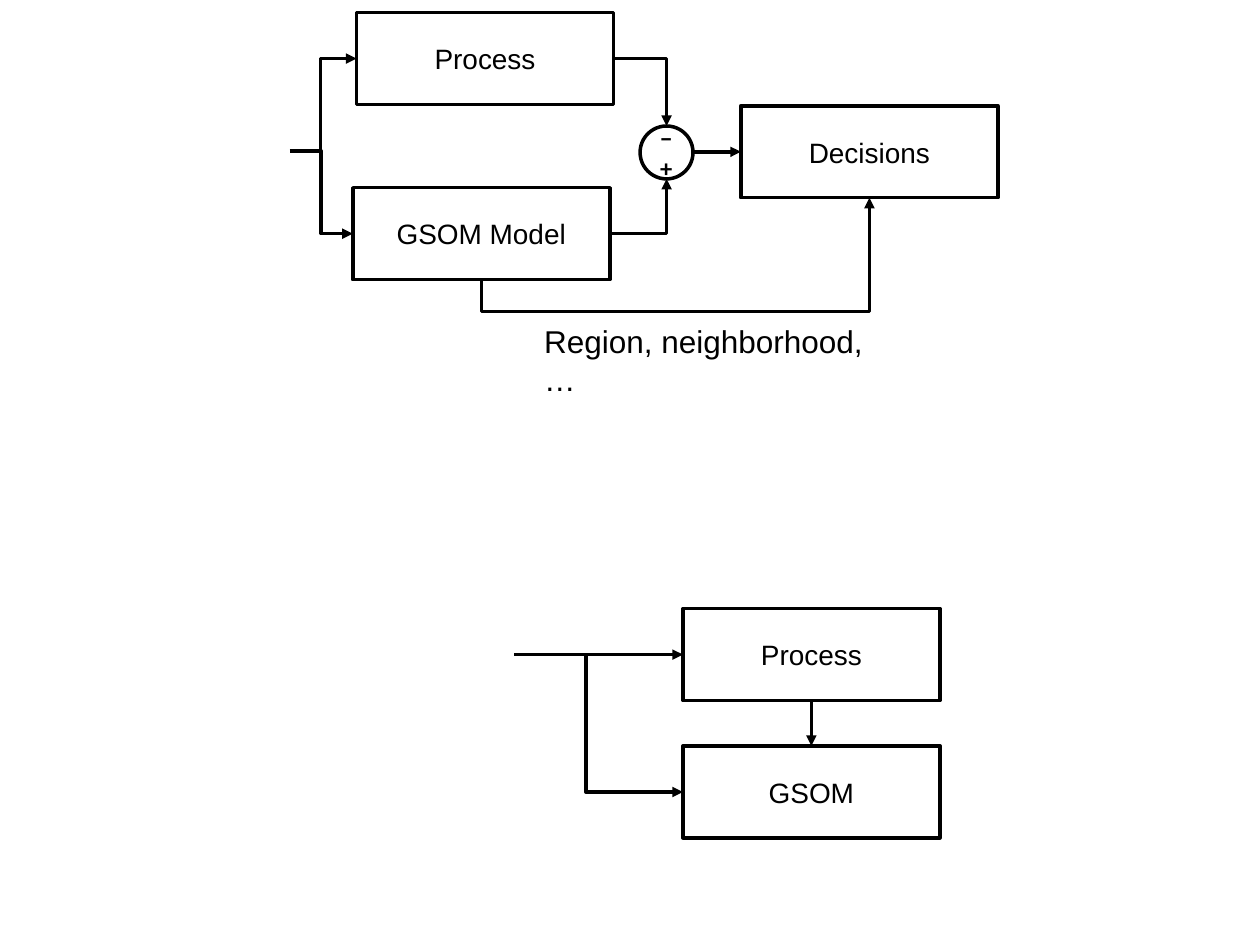
from lxml.etree import SubElement
from pptx import Presentation
from pptx.dml.color import RGBColor
from pptx.enum.shapes import MSO_CONNECTOR, MSO_SHAPE
from pptx.enum.text import MSO_ANCHOR, PP_ALIGN
from pptx.oxml.ns import qn
from pptx.util import Inches, Pt

# Content
BLACK, WHITE = "000000", "FFFFFF"
BOX_W, BOX_H = 2.04, 0.73
BOXES = {  # key: (text, left, top)
    "model": ("GSOM Model", 2.8, 1.49),
    "process": ("Process", 2.83, 0.1),
    "decisions": ("Decisions", 5.88, 0.84),
    "process 2": ("Process", 5.42, 4.83),
    "gsom": ("GSOM", 5.42, 5.92),
}
CIRCLE = (5.08, 1.0, 0.42)  # left, top, diameter
LABELS = [  # lines, left, top, width, height, font, size, bold
    (["−", "+"], 5.14, 0.93, 0.3, 0.57, "Calibri", 14, True),
    (["Region, neighborhood, …"], 4.22, 2.51, 3.02, 0.4, "Arial", 18, False),
]
INPUT = (2.3, 1.2)
INPUT_2_X, BRANCH_2_X = 4.08, 4.65
TOP, LEFT, BOTTOM, RIGHT = range(4)


def color(value):
    return RGBColor.from_string(value)


def side(key, where):
    _, x, y = BOXES[key]
    dx, dy = {TOP: (0.5, 0), LEFT: (0, 0.5), BOTTOM: (0.5, 1), RIGHT: (1, 0.5)}[where]
    return x + dx * BOX_W, y + dy * BOX_H


def add_text(tf, lines, font, size, bold=False, align=PP_ALIGN.LEFT):
    tf.word_wrap = True
    for i, line in enumerate(lines):
        p = tf.paragraphs[0] if i == 0 else tf.add_paragraph()
        p.alignment = align
        r = p.add_run()
        r.text = line
        r.font.name, r.font.size, r.font.bold = font, Pt(size), bold
        r.font.color.rgb = color(BLACK)


def add_outlined(kind, x, y, w, h):
    sp = s.shapes.add_shape(kind, Inches(x), Inches(y), Inches(w), Inches(h))
    sp.shadow.inherit = False
    sp.fill.solid()
    sp.fill.fore_color.rgb = color(WHITE)
    sp.line.color.rgb = color(BLACK)
    sp.line.width = Pt(2)
    return sp


def add_arrow(kind, begin, end):
    c = s.shapes.add_connector(kind, *(Inches(v) for v in (*begin, *end)))
    c.line.color.rgb = color(BLACK)
    c.line.width = Pt(2)
    SubElement(c.line._get_or_add_ln(), qn("a:tailEnd"), type="triangle")
    SubElement(c._element.spPr, qn("a:effectLst"))
    return c


def add_elbow(begin, end, vertical=False, bend=None):
    """Bend is the share of the first direction before turning; None means one corner."""
    (x1, y1), (x2, y2) = begin, end
    if vertical:  # lay the route out sideways, then turn it by 90 degrees
        cx, cy, dx, dy = (x1 + x2) / 2, (y1 + y2) / 2, x2 - x1, y2 - y1
        begin = cx - dy / 2, cy + dx / 2
        end = cx + dy / 2, cy - dx / 2
    c = add_arrow(MSO_CONNECTOR.ELBOW, begin, end)
    sp_pr = c._element.spPr
    if vertical:
        sp_pr.find(qn("a:xfrm")).set("rot", "5400000")
    geom = sp_pr.find(qn("a:prstGeom"))
    if bend is None:
        geom.set("prst", "bentConnector2")
    else:
        guides = geom.find(qn("a:avLst"))
        SubElement(guides, qn("a:gd"), name="adj1", fmla=f"val {round(bend * 100000)}")


prs = Presentation()
prs.slide_width, prs.slide_height = Inches(10), Inches(7.5)
s = prs.slides.add_slide(prs.slide_layouts[6])

# Boxes and comparison circle
rects = {}
for key, (text, x, y) in BOXES.items():
    rects[key] = add_outlined(MSO_SHAPE.RECTANGLE, x, y, BOX_W, BOX_H)
    rects[key].text_frame.vertical_anchor = MSO_ANCHOR.MIDDLE
    add_text(rects[key].text_frame, [text], "Arial", 16, align=PP_ALIGN.CENTER)
cx, cy, d = CIRCLE
add_outlined(MSO_SHAPE.OVAL, cx, cy, d, d)

# Bent arrows
add_elbow(INPUT, side("process", LEFT), bend=0.46)
add_elbow(INPUT, side("model", LEFT), bend=0.5)
add_elbow(side("process", RIGHT), (cx + d / 2, cy))
add_elbow(side("model", RIGHT), (cx + d / 2, cy + d))
add_elbow(side("model", BOTTOM), side("decisions", BOTTOM), vertical=True, bend=-0.39)
input_2_y = side("process 2", LEFT)[1]
add_elbow((BRANCH_2_X, input_2_y), side("gsom", LEFT), vertical=True)

# Straight arrows
for begin, key, where in [
    ((cx + d, side("decisions", LEFT)[1]), "decisions", LEFT),
    ((INPUT_2_X, input_2_y), "process 2", LEFT),
    (side("process 2", BOTTOM), "gsom", TOP),
]:
    c = add_arrow(MSO_CONNECTOR.STRAIGHT, begin, side(key, where))
    c.end_connect(rects[key], where)
c.begin_connect(rects["process 2"], BOTTOM)

# Signs and caption
for lines, x, y, w, h, font, size, bold in LABELS:
    tb = s.shapes.add_textbox(Inches(x), Inches(y), Inches(w), Inches(h))
    add_text(tb.text_frame, lines, font, size, bold)

prs.save("out.pptx")
